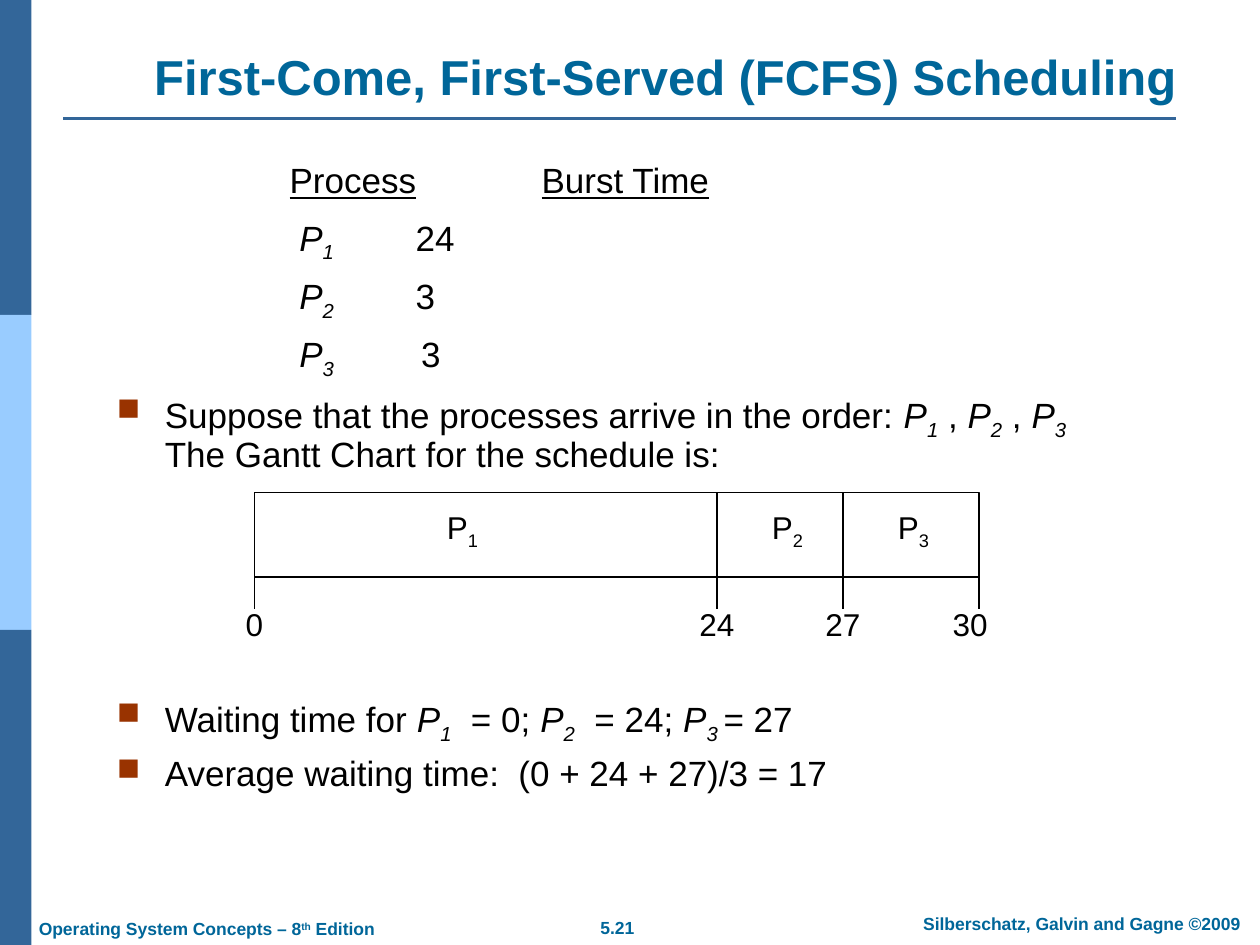
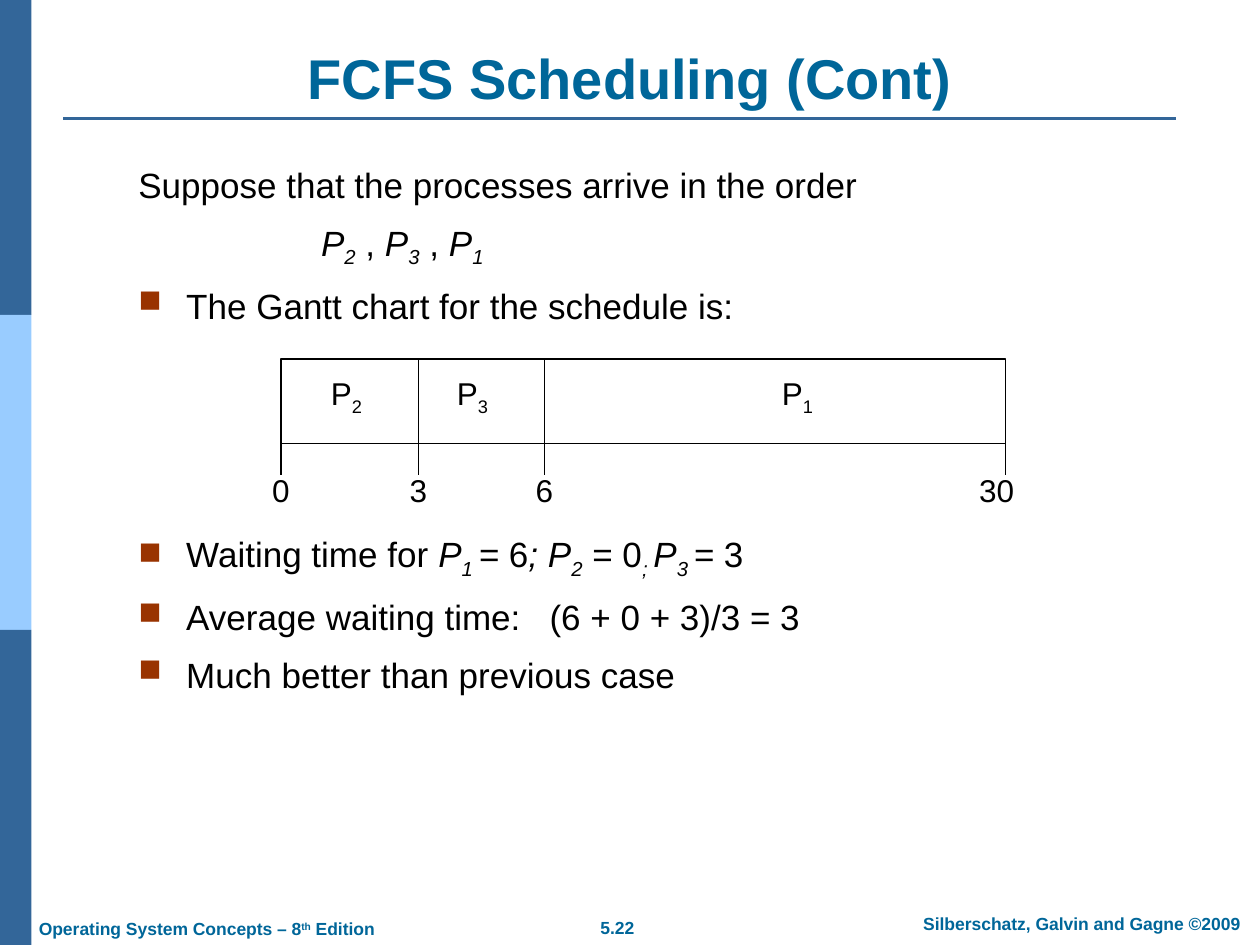
import pptx
import pptx.util
import pptx.dml.color
import pptx.enum.shapes
import pptx.enum.text
import lxml.etree
import pptx.oxml.ns

Inches = pptx.util.Inches
Pt = pptx.util.Pt
ALIGN = pptx.enum.text.PP_ALIGN
ANCHOR = pptx.enum.text.MSO_ANCHOR


def color(hex):
    return pptx.dml.color.RGBColor.from_string(hex)


def add_node(parent, tag, **attrs):
    return lxml.etree.SubElement(parent, pptx.oxml.ns.qn(tag), **attrs)


def proc(num, tail=""):
    return [("P", "i"), (f"{num}{tail}", "is")]


class Deck:
    FONT = "Arial"
    INK = "000000"
    TEAL = "006699"
    NAVY = "336699"
    SKY = "99CCFF"
    RUST = "993300"
    BASE = {"s": "-25000", "t": "30000"}

    def __init__(self):
        self.prs = pptx.Presentation()
        self.prs.slide_width = Inches(10)
        self.prs.slide_height = Inches(7.5)
        self.shapes = None

    def slide(self, title, size, box, page):
        self.shapes = self.prs.slides.add_slide(self.prs.slide_layouts[5]).shapes
        for row, fill in enumerate((self.NAVY, self.SKY, self.NAVY)):
            self.rect(self.shapes, (0, row * 2.5, 0.25, 2.5), fill)
        self.line(self.shapes, (0.5, 0.94), (9.33, 0.94), self.NAVY, 1.5)
        head = self.shapes.title
        self.place(head, box)
        head.text_frame.vertical_anchor = ANCHOR.BOTTOM
        par = head.text_frame.paragraphs[0]
        par.alignment = ALIGN.CENTER
        self.runs(par, [(title, "b")], size, self.TEAL)
        self.foot((0.21, 7.24, 3.2, 0.27), ALIGN.LEFT,
                  [("Operating System Concepts – 8", "b"), ("th", "bt"), (" Edition", "b")])
        self.foot((4.41, 7.23, 0.98, 0.27), ALIGN.CENTER, [(page, "b")])
        self.foot((7.1, 7.2, 2.97, 0.27), ALIGN.CENTER,
                  [("Silberschatz, Galvin and Gagne ©2009", "b")])

    def place(self, shape, box):
        shape.left, shape.top, shape.width, shape.height = map(Inches, box)

    def rect(self, shapes, box, fill, edge=None):
        shape = shapes.add_shape(pptx.enum.shapes.MSO_SHAPE.RECTANGLE, *map(Inches, box))
        shape.shadow.inherit = False
        shape.fill.solid()
        shape.fill.fore_color.rgb = color(fill)
        if edge:
            shape.line.color.rgb = color(edge)
            shape.line.width = Pt(0.75)
        else:
            shape.line.fill.background()

    def line(self, shapes, start, end, hex=INK, width=0.75):
        line = shapes.add_connector(pptx.enum.shapes.MSO_CONNECTOR.STRAIGHT,
                                    *map(Inches, start + end))
        line.line.color.rgb = color(hex)
        line.line.width = Pt(width)
        add_node(line._element.spPr, "a:effectLst")

    def runs(self, par, parts, size, hex=INK):
        for text, style in parts:
            if text == "\n":
                par.add_line_break()
                continue
            run = par.add_run()
            run.text = text
            font = run.font
            font.name = self.FONT
            font.size = Pt(size)
            font.color.rgb = color(hex)
            font.bold = "b" in style
            font.italic = "i" in style
            font.underline = "u" in style
            for key, base in self.BASE.items():
                if key in style:
                    run._r.get_or_add_rPr().set("baseline", base)

    def frame(self, shapes, box, anchor=ANCHOR.TOP):
        frame = shapes.add_textbox(*map(Inches, box)).text_frame
        frame.word_wrap = True
        frame.vertical_anchor = anchor
        return frame

    def foot(self, box, align, parts):
        par = self.frame(self.shapes, box).paragraphs[0]
        par.alignment = align
        self.runs(par, parts, 10, self.TEAL)

    def label(self, shapes, mid, top, height, parts):
        frame = self.frame(shapes, (mid - 0.4, top, 0.8, height), ANCHOR.MIDDLE)
        par = frame.paragraphs[0]
        par.alignment = ALIGN.CENTER
        self.runs(par, parts, 18)

    def body(self, box, rows, pitch):
        frame = self.frame(self.shapes, box)
        for num, (kind, parts) in enumerate(rows):
            par = frame.add_paragraph() if num else frame.paragraphs[0]
            par.line_spacing = pitch
            if num:
                par.space_before = Pt(8.8)
            props = par._p.get_or_add_pPr()
            if kind == "bullet":
                props.set("marL", str(Inches(0.38)))
                props.set("indent", str(Inches(-0.38)))
                tint = add_node(props, "a:buClr")
                add_node(tint, "a:srgbClr", val=self.RUST)
                add_node(props, "a:buSzPct", val="90000")
                add_node(props, "a:buChar", char="■")
            elif kind == "inset":
                props.set("marL", str(Inches(1.45)))
            elif kind:
                tabs = add_node(props, "a:tabLst")
                add_node(tabs, "a:tab", pos=str(Inches(kind)), algn="l")
            self.runs(par, parts, 20)

    def gantt(self, top, edges, times, jobs):
        shapes = self.shapes.add_group_shape().shapes
        base = top + 0.67
        self.rect(shapes, (edges[0], top, edges[-1] - edges[0], 0.67), "FFFFFF", self.INK)
        for edge in edges[1:-1]:
            self.line(shapes, (edge, top), (edge, base))
        for edge, time in zip(edges, times):
            self.line(shapes, (edge, base), (edge, base + 0.25))
            shift = 0.07 if edge == edges[-1] else 0
            self.label(shapes, edge - shift, top + 0.84, 0.4, [(str(time), "")])
        for job, mid in jobs:
            self.label(shapes, mid, top + 0.07, 0.44, [("P", ""), (str(job), "s")])


def main():
    deck = Deck()

    deck.slide("First-Come, First-Served (FCFS) Scheduling", 28,
               (0.72, 0.39, 9.12, 0.5), "5.21")
    bursts = [(1, "\t", "24"), (2, " \t", "3"), (3, "\t ", "3")]
    rows = [(2, [("Process", "u"), ("\t", ""), ("Burst Time", "u")])]
    rows += [(1, [(" ", "")] + proc(num, gap) + [(burst, "")])
             for num, gap, burst in bursts]
    deck.body((2.2, 1.25, 5, 1.8), rows, 0.9)
    deck.body((0.83, 3.08, 8.76, 0.75), [
        ("bullet", [("Suppose that the processes arrive in the order: ", "")]
         + proc(1) + [(" , ", "")] + proc(2) + [(" , ", "")] + proc(3)
         + [("\n", ""), ("The Gantt Chart for the schedule is:", "")]),
    ], 0.9)
    deck.gantt(3.91, (2.02, 5.69, 6.69, 7.77), (0, 24, 27, 30),
               [(1, 3.67), (2, 6.25), (3, 7.25)])
    deck.body((0.83, 5.49, 8.76, 1), [
        ("bullet", [("Waiting time for ", "")] + proc(1) + [("  = 0; ", "")]
         + proc(2) + [("  = 24; ", "")] + proc(3, " ") + [("= 27", "")]),
        ("bullet", [("Average waiting time:  (0 + 24 + 27)/3 = 17", "")]),
    ], 0.9)

    deck.slide("FCFS Scheduling (Cont)", 32, (0.5, 0.3, 9, 0.63), "5.22")
    deck.body((1, 1.25, 8.9, 1.5), [
        (None, [("Suppose that the processes arrive in the order", "")]),
        ("inset", proc(2) + [(" , ", "")] + proc(3) + [(" , ", "")] + proc(1)),
        ("bullet", [("The Gantt chart for the schedule is:", "")]),
    ], 1.0)
    deck.gantt(2.85, (2.23, 3.32, 4.32, 7.98), (0, 3, 6, 30),
               [(2, 2.75), (3, 3.75), (1, 6.33)])
    deck.body((1, 4.18, 8.9, 1.5), [
        ("bullet", [("Waiting time for ", "")] + proc(1, " ")
         + [("=", "i"), (" 6", ""), ("; ", "i")] + proc(2)
         + [(" = 0", ""), ("; ", "is")] + proc(3, " ") + [("= ", "i"), ("3", "")]),
        ("bullet", [("Average waiting time:   (6 + 0 + 3)/3 = 3", "")]),
        ("bullet", [("Much better than previous case", "")]),
    ], 1.0)

    deck.prs.save("out.pptx")


if __name__ == "__main__":
    main()
